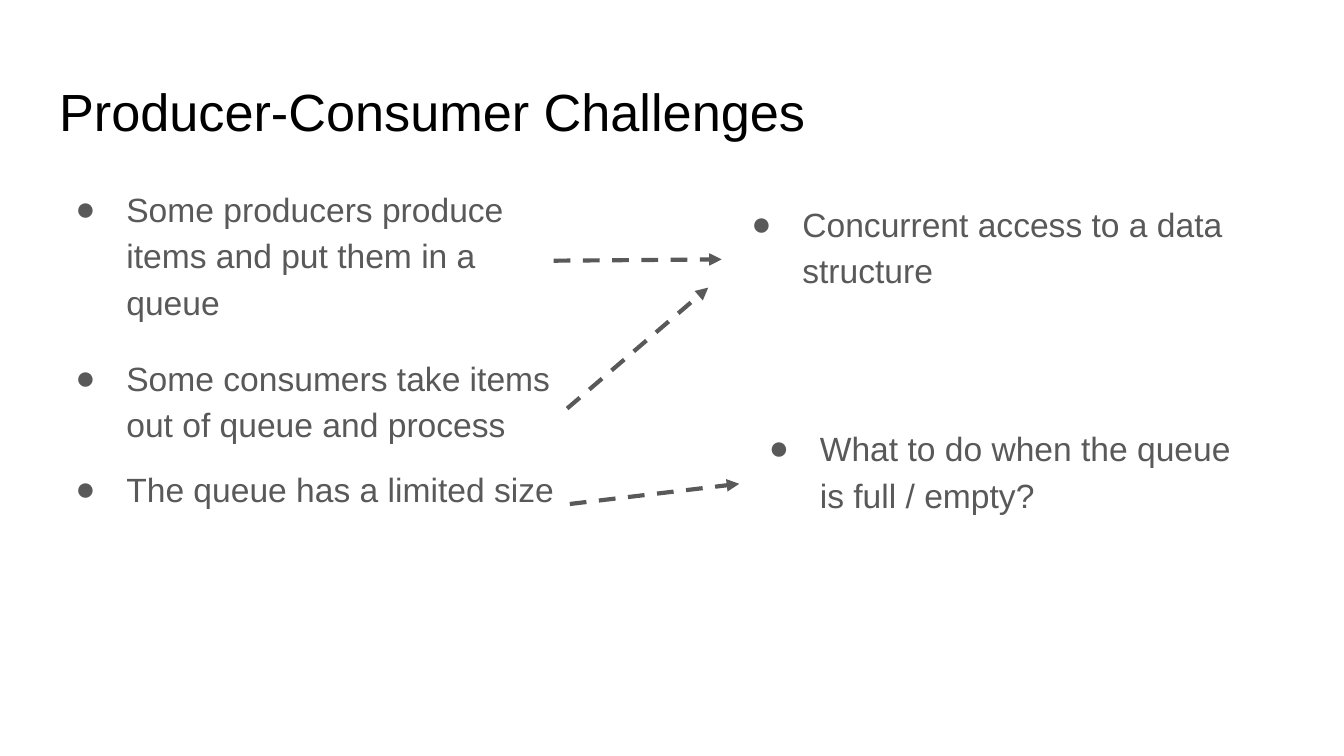
import pptx
import pptx.util
import pptx.dml.color
import pptx.enum.dml
import pptx.enum.shapes
import pptx.enum.text
import pptx.oxml
import pptx.oxml.ns

Inches, Pt = pptx.util.Inches, pptx.util.Pt
BLACK = pptx.dml.color.RGBColor(0x00, 0x00, 0x00)
GRAY = pptx.dml.color.RGBColor(0x59, 0x59, 0x59)
NS = pptx.oxml.ns.nsdecls("a")

SLIDE_WIDTH = Inches(10)
SLIDE_HEIGHT = SLIDE_WIDTH * 9 // 16
TITLE_BOX = (0.34, 0.49, 9.32, 0.63)
LISTS = [
    (1, (0.34, 1.26, 3.96, 3.74), [
        ("Some producers produce items and put them in a queue", 10, 0),
        ("Some consumers take items out of queue and process", 16, 0),
        ("The queue has a limited size", 10, 16)]),
    (2, (5.37, 1.37, 3.96, 1.11), [
        ("Concurrent access to a data structure", 10, 16)]),
    (3, (5.5, 3.04, 3.96, 1.11), [
        ("What to do when the queue is full / empty?", 10, 16)]),
]
ARROWS = [(4.12, 1.94, 5.37, 1.93), (4.22, 3.04, 5.27, 2.14),
          (4.24, 3.75, 5.5, 3.6)]


def apply(obj, values):
    """Set every attribute named in values on obj."""
    for name, value in values.items():
        setattr(obj, name, value)


def place(sp, box):
    """Move a placeholder to a box and prepare its text frame."""
    apply(sp, dict(zip(("left", "top", "width", "height"), map(Inches, box))))
    tf = sp.text_frame
    apply(tf, {"word_wrap": True,
               "auto_size": pptx.enum.text.MSO_AUTO_SIZE.NONE,
               "vertical_anchor": pptx.enum.text.MSO_ANCHOR.TOP})
    for side in ("left", "top", "right", "bottom"):
        setattr(tf, "margin_" + side, Inches(0.1))
    return tf


def write(p, text, size, color, spacing):
    """Write one formatted run into a paragraph."""
    apply(p, {"alignment": pptx.enum.text.PP_ALIGN.LEFT, **spacing})
    r = p.add_run()
    r.text = text
    apply(r.font, {"name": "Arial", "size": Pt(size), "bold": False})
    r.font.color.rgb = color


def add_bullet(p):
    """Give a paragraph a hanging round bullet."""
    pPr = p._p.get_or_add_pPr()
    pPr.set("marL", str(Inches(0.5)))
    pPr.set("indent", str(Inches(-0.38)))
    for xml in (f'<a:buClr {NS}><a:srgbClr val="{GRAY}"/></a:buClr>',
                f'<a:buFont {NS} typeface="Arial"/>',
                f'<a:buChar {NS} char="●"/>'):
        pPr.append(pptx.oxml.parse_xml(xml))


def fill_title(sp, box, text):
    """Place the slide title in its box."""
    write(place(sp, box).paragraphs[0], text, 28, BLACK, {})


def fill_list(sp, box, items):
    """Place a bulleted list in its box."""
    tf = place(sp, box)
    for i, (text, before, after) in enumerate(items):
        p = tf.add_paragraph() if i else tf.paragraphs[0]
        write(p, text, 18, GRAY, {"line_spacing": 1.15,
                                  "space_before": Pt(before),
                                  "space_after": Pt(after)})
        add_bullet(p)


def add_arrow(s, ends):
    """Draw a dashed arrow between two points."""
    line = s.shapes.add_connector(
        pptx.enum.shapes.MSO_CONNECTOR.STRAIGHT, *map(Inches, ends))
    apply(line.line, {"width": Pt(2.25),
                      "dash_style": pptx.enum.dml.MSO_LINE.DASH})
    line.line.color.rgb = GRAY
    spPr = line._element.spPr
    spPr.find(pptx.oxml.ns.qn("a:ln")).append(
        pptx.oxml.parse_xml(f'<a:tailEnd {NS} type="triangle"/>'))
    spPr.append(pptx.oxml.parse_xml(f"<a:effectLst {NS}/>"))


def build_challenges(prs):
    """Build the slide that links queue behaviour to its challenges."""
    s = prs.slides.add_slide(prs.slide_layouts.get_by_name("Comparison"))
    fill_title(s.shapes.title, TITLE_BOX, "Producer-Consumer Challenges")
    bodies = {sp.placeholder_format.idx: sp for sp in s.placeholders}
    for idx, box, items in LISTS:
        fill_list(bodies[idx], box, items)
    unused = bodies[4]._element
    unused.getparent().remove(unused)
    for ends in ARROWS:
        add_arrow(s, ends)


prs = pptx.Presentation()
apply(prs, {"slide_width": SLIDE_WIDTH, "slide_height": SLIDE_HEIGHT})
build_challenges(prs)
prs.save("out.pptx")
